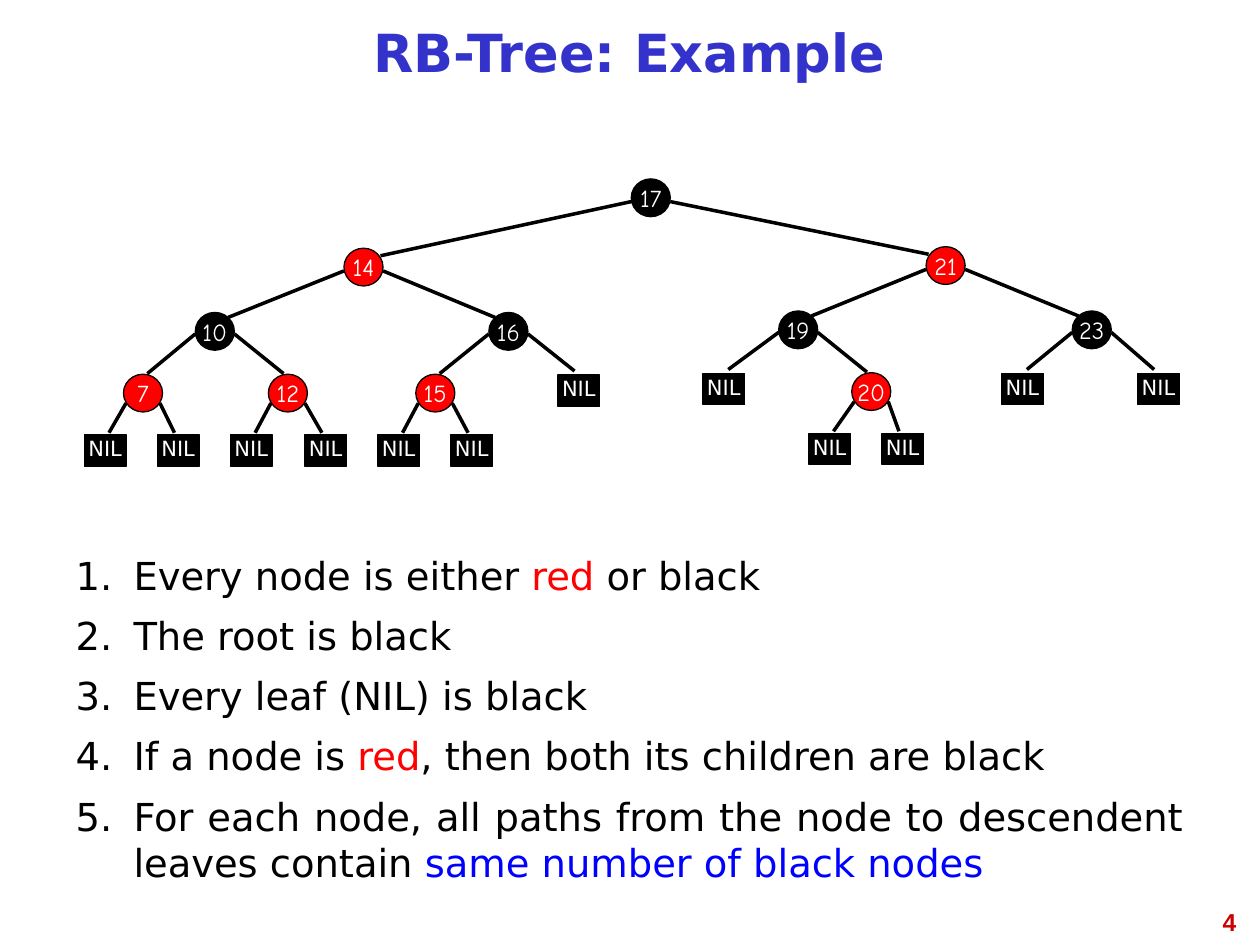
from dataclasses import dataclass
from typing import Optional

from lxml import etree
from pptx import Presentation
from pptx import util as u
from pptx.dml.color import RGBColor
from pptx.enum import shapes, text
from pptx.oxml.ns import qn

# The slide is a grid of 100 columns by 75 rows
CELL = u.Inches(0.1)
COLORS = {
    "black": "000000",
    "red": "FF0000",
    "white": "FFFFFF",
    "blue": "0000FF",
    "title": "3333CC",
    "number": "CC0000",
}
SANS = "DejaVu Sans"


@dataclass
class Node:
    label: str
    x: float  # column of the centre
    color: str
    left: Optional["Node"] = None
    right: Optional["Node"] = None


@dataclass
class Edge:
    """Offsets in cells from the centres of the parent and of the child."""
    parent_dx: float
    parent_dy: float
    child_dx: float
    child_dy: float


def nil(x: float) -> Node:
    return Node("NIL", x, "black")


TREE = Node(
    "17", 51.65, "black",
    Node("14", 28.85, "red",
         Node("10", 17.05, "black",
              Node("7", 11.35, "red", nil(8.35), nil(14.15)),
              Node("12", 22.85, "red", nil(19.95), nil(25.85))),
         Node("16", 40.35, "black",
              Node("15", 34.55, "red", nil(31.65), nil(37.45)),
              nil(45.95))),
    Node("21", 75.05, "red",
         Node("19", 63.35, "black",
              nil(57.45),
              Node("20", 69.15, "red", nil(65.85), nil(71.65))),
         Node("23", 86.65, "black", nil(81.15), nil(91.95))),
)
LEVEL_ROWS = (15.7, 21.2, 26.3, 31.2, 35.75)
RIGHT_HALF_LIFT = 0.12
EDGES = (
    Edge(1.55, 0.3, 1.35, -0.9),
    Edge(1.55, 0.3, 1.05, -1.1),
    Edge(1.55, 0.2, 0.35, -1.55),
    Edge(1.35, 0.8, 0.3, -1.4),
)

RULES = (
    (("Every node is either ", "black"), ("red", "red"), (" or black", "black")),
    (("The root is black", "black"),),
    (("Every leaf (NIL) is black", "black"),),
    (("If a node is ", "black"), ("red", "red"),
     (", then both its children are black", "black")),
    (("For each node, all paths from the node to descendent leaves contain ", "black"),
     ("same number of black nodes", "blue")),
)


def cells(count: float) -> int:
    return round(count * CELL)


def rgb(name: str) -> RGBColor:
    return RGBColor.from_string(COLORS[name])


def place(box, left: float, top: float, width: float, height: float) -> None:
    box.left, box.top = cells(left), cells(top)
    box.width, box.height = cells(width), cells(height)


def style(font, size: int, color: str, name: str = SANS, bold: bool = False) -> None:
    font.size, font.name, font.bold = u.Pt(size), name, bold
    font.color.rgb = rgb(color)


def node_row(node: Node, level: int) -> float:
    lift = RIGHT_HALF_LIFT if node.x > TREE.x else 0
    if node.label == "NIL" and level == 3:
        lift += 0.2
    return LEVEL_ROWS[level] - lift


def draw_edge(page, parent: Node, child: Node, level: int) -> None:
    edge = EDGES[level]
    side = 1 if child.x > parent.x else -1
    line = page.shapes.add_connector(
        shapes.MSO_CONNECTOR.STRAIGHT,
        cells(child.x - side * edge.child_dx),
        cells(node_row(child, level + 1) + edge.child_dy),
        cells(parent.x + side * edge.parent_dx),
        cells(node_row(parent, level) + edge.parent_dy))
    line.line.color.rgb = rgb("black")
    line.line.width = u.Pt(2)
    etree.SubElement(line._element.spPr, qn("a:effectLst"))


def draw_node(page, node: Node, level: int) -> None:
    is_leaf = node.label == "NIL"
    kind = shapes.MSO_SHAPE.RECTANGLE if is_leaf else shapes.MSO_SHAPE.OVAL
    width, height = (3.3, 2.5) if is_leaf else (3.1, 3)
    box = page.shapes.add_shape(kind, 0, 0, 0, 0)
    place(box, node.x - width / 2, node_row(node, level) - height / 2, width, height)
    box.shadow.inherit = False
    box.fill.solid()
    box.fill.fore_color.rgb = rgb(node.color)
    box.line.color.rgb = rgb("black")
    box.line.width = u.Pt(0.75)
    frame = box.text_frame
    frame.text = node.label
    frame.word_wrap = False
    frame.vertical_anchor = text.MSO_ANCHOR.MIDDLE
    para = frame.paragraphs[0]
    para.alignment = text.PP_ALIGN.CENTER
    if is_leaf:
        para.line_spacing = 0.81
        style(para.runs[0].font, 12, "white")
    else:
        style(para.runs[0].font, 14, "white", "Comic Neue")


def draw_tree(page, node: Node, level: int = 0) -> None:
    for child in (node.left, node.right):
        if child:
            draw_edge(page, node, child, level)
            draw_tree(page, child, level + 1)
    draw_node(page, node, level)


def draw_title(page) -> None:
    title = page.shapes.title
    place(title, 5, 0.8, 89.9, 7.5)
    frame = title.text_frame
    frame.text = "RB-Tree: Example"
    frame.auto_size = text.MSO_AUTO_SIZE.NONE
    frame.vertical_anchor = text.MSO_ANCHOR.MIDDLE
    para = frame.paragraphs[0]
    para.alignment = text.PP_ALIGN.CENTER
    para.line_spacing = 0.81
    style(para.runs[0].font, 30, "title", bold=True)


def number_paragraph(para) -> None:
    props = para._p.get_or_add_pPr()
    indent = u.Inches(0.46)
    props.set("marL", str(indent))
    props.set("indent", str(-indent))
    bullet_color = etree.SubElement(props, qn("a:buClr"))
    etree.SubElement(bullet_color, qn("a:srgbClr"), val=COLORS["black"])
    etree.SubElement(props, qn("a:buFont"), typeface=SANS)
    etree.SubElement(props, qn("a:buAutoNum"), type="arabicPeriod")


def draw_rules(page) -> None:
    body = page.placeholders[1]
    place(body, 5, 43.3, 89.9, 26.7)
    frame = body.text_frame
    frame.auto_size = text.MSO_AUTO_SIZE.NONE
    for index, rule in enumerate(RULES):
        para = frame.add_paragraph() if index else frame.paragraphs[0]
        number_paragraph(para)
        para.alignment = text.PP_ALIGN.JUSTIFY
        para.space_before = u.Pt(8 if index else 0)
        for words, color in rule:
            span = para.add_run()
            span.text = words
            style(span.font, 22, color)


def draw_page_number(page) -> None:
    box = page.shapes.add_textbox(0, 0, 0, 0)
    place(box, 75.8, 71.5, 23.3, 5.2)
    box.text_frame.word_wrap = True
    box.text_frame.text = "4"
    para = box.text_frame.paragraphs[0]
    para.alignment = text.PP_ALIGN.RIGHT
    style(para.runs[0].font, 14, "number", "Arial", bold=True)


def main() -> None:
    deck = Presentation()
    deck.slide_width, deck.slide_height = cells(100), cells(75)
    page = deck.slides.add_slide(deck.slide_layouts[1])
    draw_title(page)
    draw_rules(page)
    draw_tree(page, TREE)
    draw_page_number(page)
    deck.save("out.pptx")


if __name__ == "__main__":
    main()
